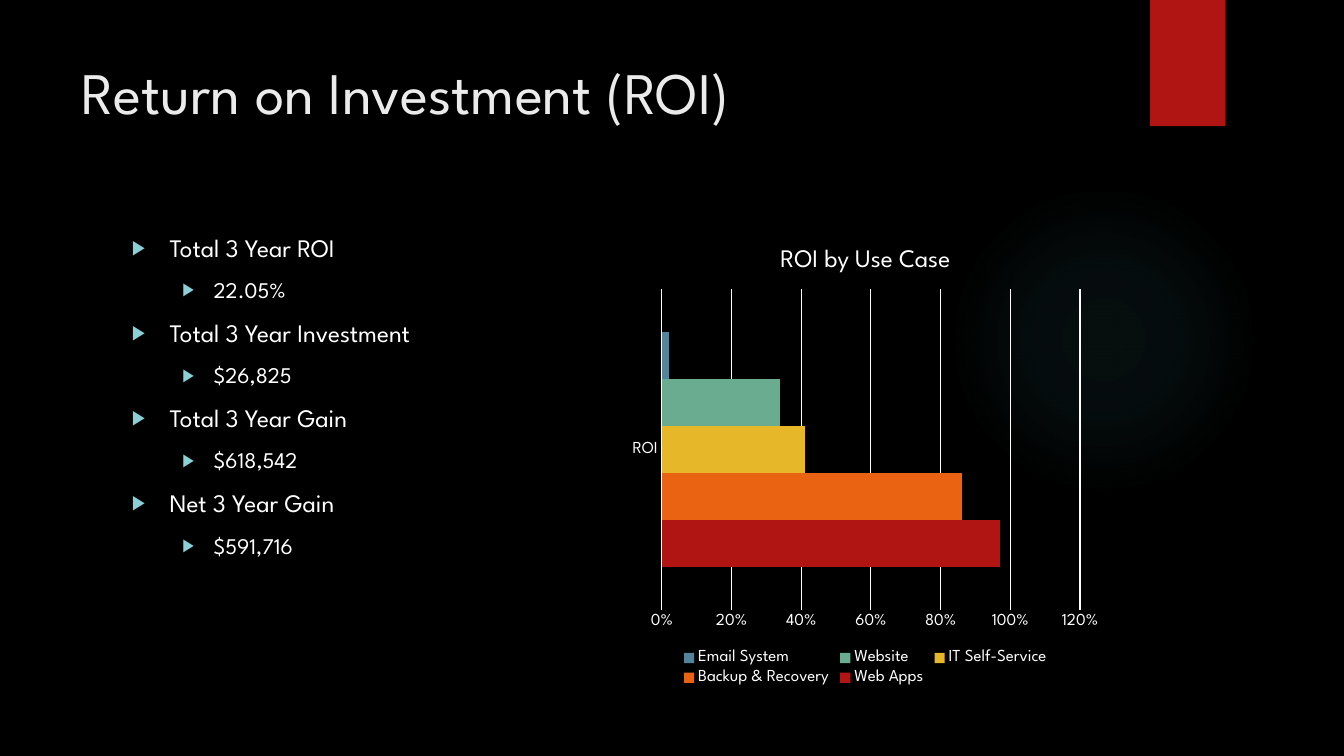
from lxml.etree import SubElement
from pptx import Presentation
from pptx.chart.data import CategoryChartData
from pptx.dml.color import RGBColor
from pptx.enum.chart import XL_CHART_TYPE, XL_LEGEND_POSITION, XL_TICK_MARK
from pptx.enum.shapes import MSO_SHAPE
from pptx.enum.text import MSO_ANCHOR, MSO_AUTO_SIZE, PP_ALIGN
from pptx.oxml import parse_xml
from pptx.oxml.ns import nsdecls, qn
from pptx.util import Cm, Pt

FONT = "League Spartan"
HUES = {
    "back": "000000", "title": "EBEBEB", "text": "FFFFFF", "mark": "8AD0D6",
    "glow": "50B9C1", "red": "B01513", "orange": "EA6312", "gold": "E6B729",
    "green": "6AAC90", "blue": "54849A",
}
FACTS = [
    ("Total 3 Year ROI", "22.05%"),
    ("Total 3 Year Investment", "$26,825"),
    ("Total 3 Year Gain", "$618,542"),
    ("Net 3 Year Gain", "$591,716"),
]
CASES = [
    ("Web Apps", 0.97, "red"),
    ("Backup & Recovery", 0.86, "orange"),
    ("IT Self-Service", 0.41, "gold"),
    ("Website", 0.34, "green"),
    ("Email System", 0.02, "blue"),
]
# Text indent in cm and size in points for each list level
LEVELS = [(0.95, 0.95, 18), (2.06, 0.79, 16)]


def hue(name):
    return RGBColor.from_string(HUES[name])


def style(font, size, name="text"):
    font.name = FONT
    font.size = Pt(size)
    font.bold = False
    font.color.rgb = hue(name)


def add_run(para, text, size, name="text"):
    run = para.add_run()
    run.text = text
    style(run.font, size, name)


def add_decor(slide, kind, box, order):
    shape = slide.shapes.add_shape(kind, *map(Cm, box))
    shape.shadow.inherit = False
    shape.line.fill.background()
    shape.fill.solid()
    shape.fill.fore_color.rgb = hue("red")
    # Keep it behind the text
    slide.shapes._spTree.insert(order, shape._element)
    return shape


def set_glow(shape):
    stops = "".join(
        f'<a:gs pos="{pos}000"><a:srgbClr val="{HUES["glow"]}">'
        f'<a:alpha val="{alpha}000"/></a:srgbClr></a:gs>'
        for pos, alpha in [(0, 7), (36, 6), (69, 0)])
    grad = parse_xml(
        f'<a:gradFill {nsdecls("a")}><a:gsLst>{stops}</a:gsLst>'
        '<a:path path="circle"><a:fillToRect l="50000" t="50000" '
        'r="50000" b="50000"/></a:path></a:gradFill>')
    props = shape._element.spPr
    props.replace(props.find(qn("a:solidFill")), grad)


def place(holder, box):
    holder.left, holder.top, holder.width, holder.height = map(Cm, box)
    frame = holder.text_frame
    frame.word_wrap = True
    frame.auto_size = MSO_AUTO_SIZE.NONE
    frame.vertical_anchor = MSO_ANCHOR.TOP
    return frame


def set_mark(para, left, hang):
    props = para._p.get_or_add_pPr()
    props.set("marL", str(Cm(left)))
    props.set("indent", str(-Cm(hang)))
    tint = SubElement(props, qn("a:buClr"))
    SubElement(tint, qn("a:srgbClr")).set("val", HUES["mark"])
    SubElement(props, qn("a:buSzPct")).set("val", "80000")
    SubElement(props, qn("a:buFont")).set("typeface", "Arial")
    SubElement(props, qn("a:buChar")).set("char", "▶")


def add_list(frame):
    items = [(text, level) for fact in FACTS for level, text in enumerate(fact)]
    for num, (text, level) in enumerate(items):
        para = frame.add_paragraph() if num else frame.paragraphs[0]
        left, hang, size = LEVELS[level]
        para.level = level
        set_mark(para, left, hang)
        para.space_before = Pt(10 if num else 0)
        add_run(para, text, size)


def set_line(line):
    line.color.rgb = hue("text")
    line.width = Pt(0.75)


def add_bars(slide, box):
    data = CategoryChartData(number_format="0%")
    data.categories = ["ROI"]
    for name, value, _ in CASES:
        data.add_series(name, [value])
    chart = slide.shapes.add_chart(
        XL_CHART_TYPE.BAR_CLUSTERED, *map(Cm, box), data).chart
    style(chart.font, 10)

    # Title and legend
    chart.has_title = True
    add_run(chart.chart_title.text_frame.paragraphs[0], "ROI by Use Case", 18)
    chart.chart_title.include_in_layout = False
    chart.has_legend = True
    chart.legend.position = XL_LEGEND_POSITION.BOTTOM
    chart.legend.include_in_layout = False
    style(chart.legend.font, 12)

    # Bars
    plot = chart.plots[0]
    plot.gap_width = 182
    plot.overlap = 0
    plot.vary_by_categories = False
    for series, (_, _, name) in zip(plot.series, CASES):
        series.format.fill.solid()
        series.format.fill.fore_color.rgb = hue(name)

    # Axes
    cats, vals = chart.category_axis, chart.value_axis
    for axis in (cats, vals):
        axis.major_tick_mark = axis.minor_tick_mark = XL_TICK_MARK.NONE
        style(axis.tick_labels.font, 12)
    set_line(cats.format.line)
    vals.format.line.fill.background()
    vals.minimum_scale, vals.maximum_scale, vals.major_unit = 0, 1.2, 0.2
    vals.has_major_gridlines = True
    set_line(vals.major_gridlines.format.line)
    vals.tick_labels.number_format = "0%"
    vals.tick_labels.number_format_is_linked = False


def main():
    deck = Presentation()
    deck.slide_width, deck.slide_height = Cm(33.87), Cm(19.05)
    slide = deck.slides.add_slide(deck.slide_layouts[1])
    slide.background.fill.solid()
    slide.background.fill.fore_color.rgb = hue("back")

    # Glow and red tab
    set_glow(add_decor(slide, MSO_SHAPE.OVAL, (23.9, 4.65, 7.82, 7.82), 2))
    add_decor(slide, MSO_SHAPE.RECTANGLE, (28.98, 0, 1.9, 3.18), 3)

    # Title
    head = place(slide.shapes.title, (1.8, 1.27, 26.14, 3.89)).paragraphs[0]
    head.alignment = PP_ALIGN.LEFT
    add_run(head, "Return on Investment (ROI)", 42, "title")

    # List and chart
    add_list(place(slide.placeholders[1], (3.07, 5.72, 12.22, 11.66)))
    add_bars(slide, (15.7, 5.72, 12.22, 11.66))
    deck.save("out.pptx")


if __name__ == "__main__":
    main()
